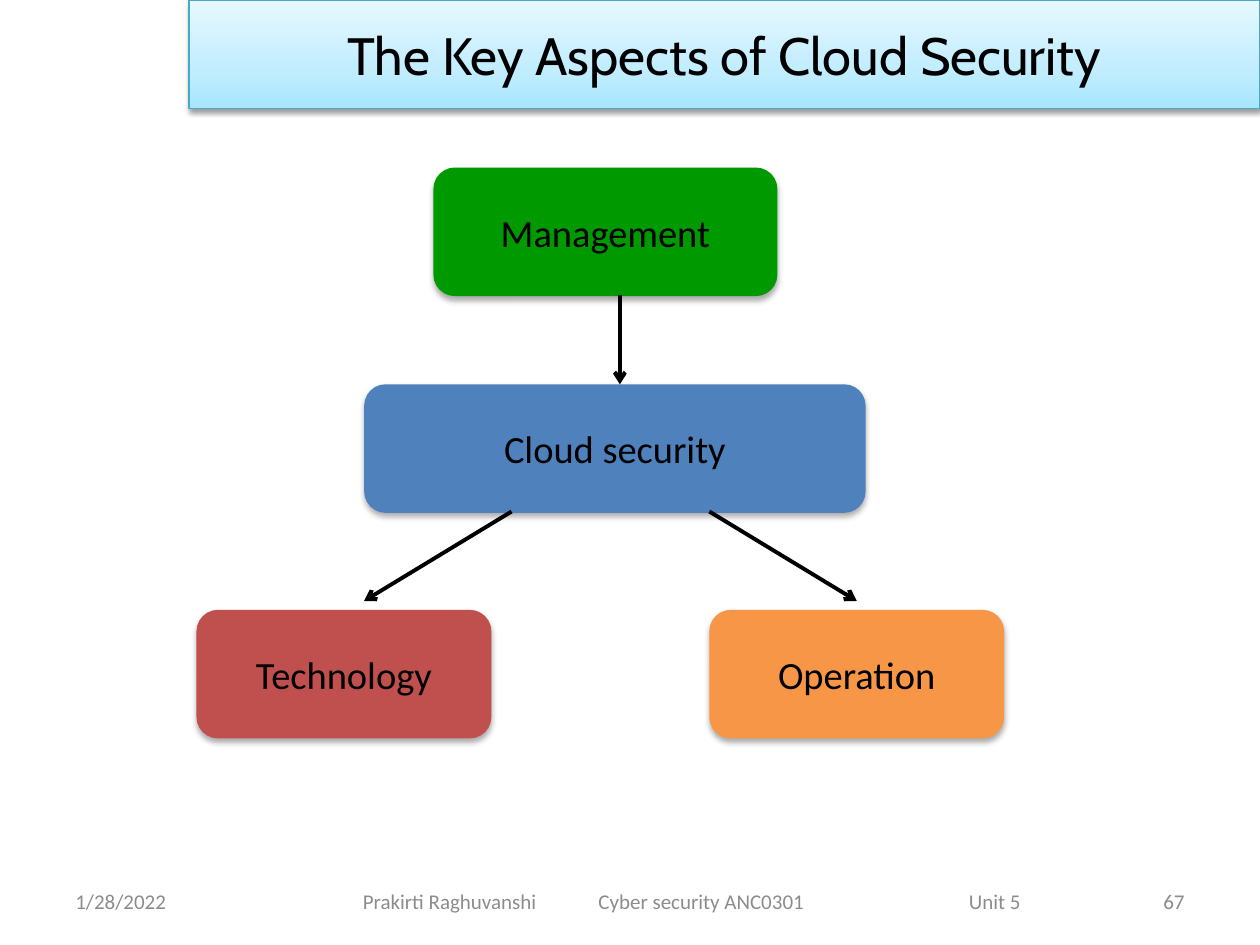
import copy
import pptx
import pptx.dml.color
import pptx.enum.dml
import pptx.enum.shapes
import pptx.enum.text
import pptx.oxml
import pptx.oxml.ns
import pptx.util

COLS, ROWS = 100, 75
WIDTH, HEIGHT = pptx.util.Inches(10), pptx.util.Inches(7.5)
COLORS = {
    "text": "000000", "footer": "8C8C8C", "title_line": "46AAC5",
    "management": "009900", "cloud": "4F81BD",
    "technology": "C0504D", "operation": "F79646",
}
TITLE_STOPS = [(0, "A7E6FF"), (0.35, "C1EDFF"), (1, "E7F8FF")]
TITLE_FONT = {"name": "Cabin", "size": pptx.util.Pt(30)}
BOX_FONT = {"name": "Calibri", "size": pptx.util.Pt(22)}
FOOTER_FONT = {"name": "Calibri", "size": pptx.util.Pt(12)}
ALIGN = pptx.enum.text.PP_ALIGN
SHAPE = pptx.enum.shapes.MSO_SHAPE


def rgb(value):
    return pptx.dml.color.RGBColor.from_string(value)


def x(col):
    return round(WIDTH * col / COLS)


def y(row):
    return round(HEIGHT * row / ROWS)


def area(col, row, cols, rows):
    return x(col), y(row), x(cols), y(rows)


def xml(tag, attrs="", inner=""):
    ns = pptx.oxml.ns.nsdecls("a")
    return pptx.oxml.parse_xml(f"<a:{tag} {ns} {attrs}>{inner}</a:{tag}>")


def write(sp, text, font, color, align=ALIGN.CENTER):
    tf = sp.text_frame
    tf.word_wrap = True
    tf.vertical_anchor = pptx.enum.text.MSO_ANCHOR.MIDDLE
    p = tf.paragraphs[0]
    p.alignment = align
    r = p.add_run()
    r.text = text
    for name, value in font.items():
        setattr(r.font, name, value)
    r.font.color.rgb = rgb(COLORS[color])
    return p


def add_shadow(sp, alpha, blur, dist):
    sp.shadow.inherit = False
    effects = sp._element.spPr.find(pptx.oxml.ns.qn("a:effectLst"))
    attrs = (f'blurRad="{pptx.util.Pt(blur)}" dist="{pptx.util.Pt(dist)}" '
             'dir="5400000" rotWithShape="0"')
    color = f'<a:srgbClr val="000000"><a:alpha val="{alpha * 1000}"/></a:srgbClr>'
    effects.append(xml("outerShdw", attrs, color))


def add_title(s, text):
    sp = s.shapes.add_shape(SHAPE.RECTANGLE, *area(15, 0, 85, 8.6))
    sp.fill.gradient()
    sp.fill.gradient_angle = 90
    stops = sp._element.spPr.find(".//" + pptx.oxml.ns.qn("a:gsLst"))
    stops.append(copy.deepcopy(stops[0]))
    for stop, (position, color) in zip(sp.fill.gradient_stops, TITLE_STOPS):
        stop.position = position
        stop.color.rgb = rgb(color)
    sp.line.color.rgb = rgb(COLORS["title_line"])
    sp.line.width = pptx.util.Pt(0.75)
    add_shadow(sp, 38, 3.1, 1.6)
    write(sp, text, TITLE_FONT, "text")


def add_box(s, text, color, col, row, cols):
    sp = s.shapes.add_shape(SHAPE.ROUNDED_RECTANGLE, *area(col, row, cols, 10.2))
    sp.fill.solid()
    sp.fill.fore_color.rgb = rgb(COLORS[color])
    sp.line.fill.background()
    add_shadow(sp, 32, 3.5, 2.2)
    write(sp, text, BOX_FONT, "text")


def add_arrow(s, col, row, to_col, to_row):
    c = s.shapes.add_connector(pptx.enum.shapes.MSO_CONNECTOR.STRAIGHT,
                               x(col), y(row), x(to_col), y(to_row))
    c.line.color.rgb = rgb(COLORS["text"])
    c.line.width = pptx.util.Pt(2.25)
    c.line._get_or_add_ln().append(xml("tailEnd", 'type="arrow"'))
    c._element.spPr.append(xml("effectLst"))


def add_footer(s, text, col, cols, align, tabs=()):
    sp = s.shapes.add_textbox(*area(col, 69.5, cols, 4))
    p = write(sp, text, FOOTER_FONT, "footer", align)
    if tabs:
        sp.text_frame.margin_left = x(1.3)
        stops = "".join(f'<a:tab pos="{x(tab)}" algn="l"/>' for tab in tabs)
        p._p.get_or_add_pPr().append(xml("tabLst", inner=stops))


def main():
    prs = pptx.Presentation()
    prs.slide_width, prs.slide_height = WIDTH, HEIGHT
    s = prs.slides.add_slide(prs.slide_layouts[6])

    add_footer(s, "1/28/2022", 5, 23.3, ALIGN.LEFT)
    add_footer(s, "\t".join(["Prakirti Raghuvanshi", "Cyber security ANC0301", "Unit 5"]),
               27.5, 55, ALIGN.LEFT, tabs=(18.7, 48.1))
    add_footer(s, "67", 71.7, 23.3, ALIGN.RIGHT)
    add_title(s, "The Key Aspects of Cloud Security")

    for box in [
        ("Management", "management", 34.4, 13.3, 27.3),
        ("Cloud security", "cloud", 28.9, 30.5, 39.8),
        ("Technology", "technology", 15.6, 48.4, 23.4),
        ("Operation", "operation", 56.3, 48.4, 23.4),
    ]:
        add_box(s, *box)

    for arrow in [
        (49.2, 23.4, 49.2, 30.5),
        (40.6, 40.6, 28.9, 47.7),
        (56.3, 40.6, 68, 47.7),
    ]:
        add_arrow(s, *arrow)

    prs.save("out.pptx")


if __name__ == "__main__":
    main()
